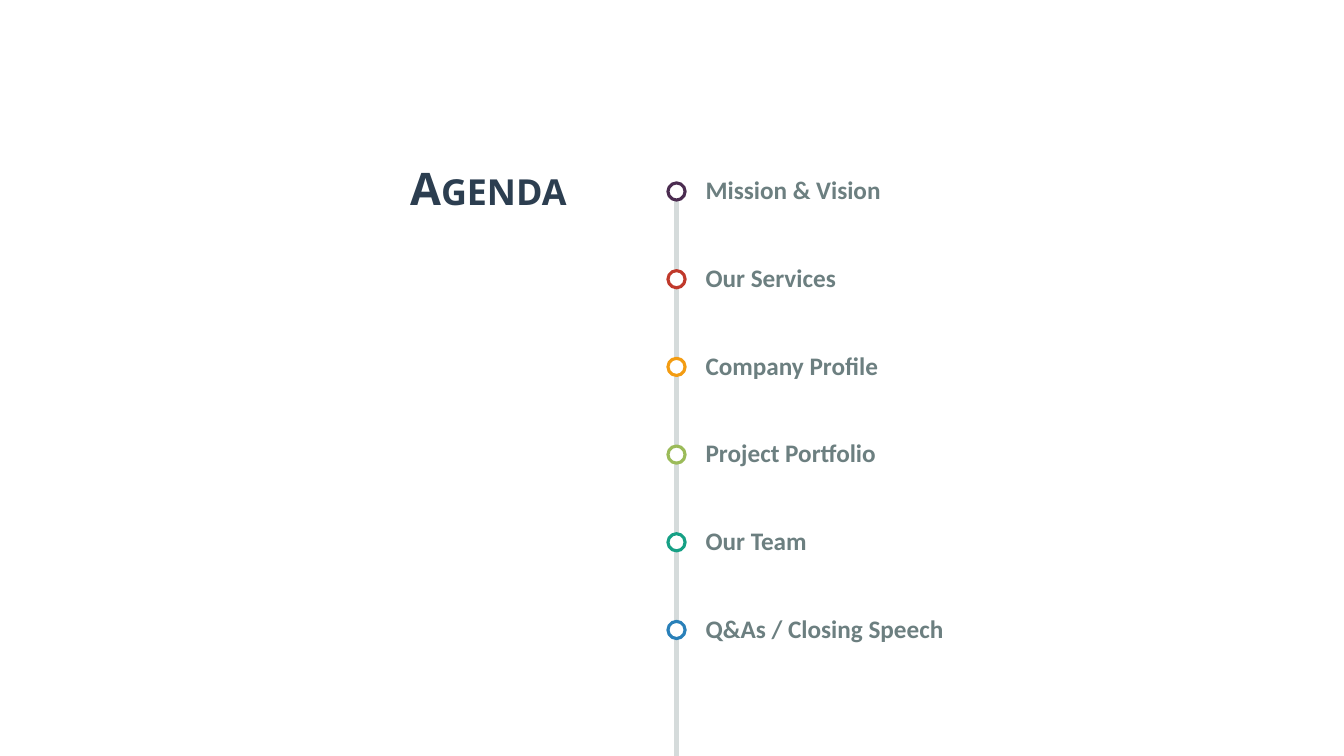
from lxml import etree
from pptx import Presentation
from pptx.dml.color import RGBColor
from pptx.enum.shapes import MSO_CONNECTOR, MSO_SHAPE
from pptx.enum.text import MSO_ANCHOR, MSO_AUTO_SIZE, PP_ALIGN
from pptx.oxml.ns import qn
from pptx.util import Inches, Pt

STRAIGHT = MSO_CONNECTOR.STRAIGHT
OVAL = MSO_SHAPE.OVAL
MIDDLE, TOP = MSO_ANCHOR.MIDDLE, MSO_ANCHOR.TOP
GROW = MSO_AUTO_SIZE.SHAPE_TO_FIT_TEXT
LEFT, RIGHT = PP_ALIGN.LEFT, PP_ALIGN.RIGHT

COLORS = {
    "white": "FFFFFF", "title": "2C3E50", "label": "6C7F80", "rail": "D5DBDB",
    "plum": "4B2C50", "red": "C0392B", "orange": "F39C12",
    "lime": "9BBB59", "teal": "16A085", "blue": "2980B9",
}
AGENDA = [
    ("Mission & Vision", "plum"),
    ("Our Services", "red"),
    ("Company Profile", "orange"),
    ("Project Portfolio", "lime"),
    ("Our Team", "teal"),
    ("Q&As / Closing Speech", "blue"),
]

SLIDE_W, SLIDE_H = 13.33, 7.5
RAIL_X = 6.71
FIRST_Y, ROW_STEP = 1.9, 0.87
MARKER = 0.17
LABEL_X, LABEL_W, LABEL_H = 6.9, 4.44, 0.47


def rgb(name):
    return RGBColor.from_string(COLORS[name])


def place(s, x, y, w, h):
    s.left, s.top, s.width, s.height = map(Inches, (x, y, w, h))


def write(s, text, font, size, color, align, anchor, spacing):
    """Fill a text shape with one bold paragraph and return its run."""
    tf = s.text_frame
    tf.word_wrap = True
    tf.auto_size = GROW
    tf.vertical_anchor = anchor
    p = tf.paragraphs[0]
    p.alignment, p.line_spacing = align, spacing
    r = p.add_run()
    r.text = text
    r.font.name, r.font.size, r.font.bold = font, Pt(size), True
    r.font.color.rgb = rgb(color)
    return r


def add_title(slide, text):
    s = slide.shapes.title
    place(s, 3.11, 1.54, 2.61, 0.64)
    r = write(s, text, "Open Sans", 32, "title", RIGHT, TOP, 1.0)
    r.font._element.set("cap", "small")


def add_rail(slide):
    s = slide.shapes.add_connector(
        STRAIGHT, Inches(RAIL_X), Inches(FIRST_Y), Inches(RAIL_X), Inches(SLIDE_H))
    s.line.color.rgb = rgb("rail")
    s.line.width = Pt(3)
    etree.SubElement(s._element.spPr, qn("a:effectLst"))


def add_marker(slide, y, color):
    s = slide.shapes.add_shape(
        OVAL, Inches(RAIL_X - MARKER / 2), Inches(y - MARKER / 2),
        Inches(MARKER), Inches(MARKER))
    s.shadow.inherit = False
    s.fill.solid()
    s.fill.fore_color.rgb = rgb("white")
    s.line.color.rgb = rgb(color)
    s.line.width = Pt(2.25)


def add_label(slide, y, text):
    s = slide.shapes.add_textbox(
        Inches(LABEL_X), Inches(y - LABEL_H / 2), Inches(LABEL_W), Inches(LABEL_H))
    tf = s.text_frame
    tf.margin_left = tf.margin_right = tf.margin_top = tf.margin_bottom = Inches(0.1)
    write(s, text, "Calibri", 18, "label", LEFT, MIDDLE, 0.9)


def main():
    prs = Presentation()
    prs.slide_width, prs.slide_height = Inches(SLIDE_W), Inches(SLIDE_H)
    slide = prs.slides.add_slide(prs.slide_layouts.get_by_name("Title Only"))
    add_title(slide, "Agenda")
    add_rail(slide)
    for row, (text, color) in enumerate(AGENDA):
        y = FIRST_Y + row * ROW_STEP
        add_marker(slide, y, color)
        add_label(slide, y, text)
    prs.save("out.pptx")


if __name__ == "__main__":
    main()
